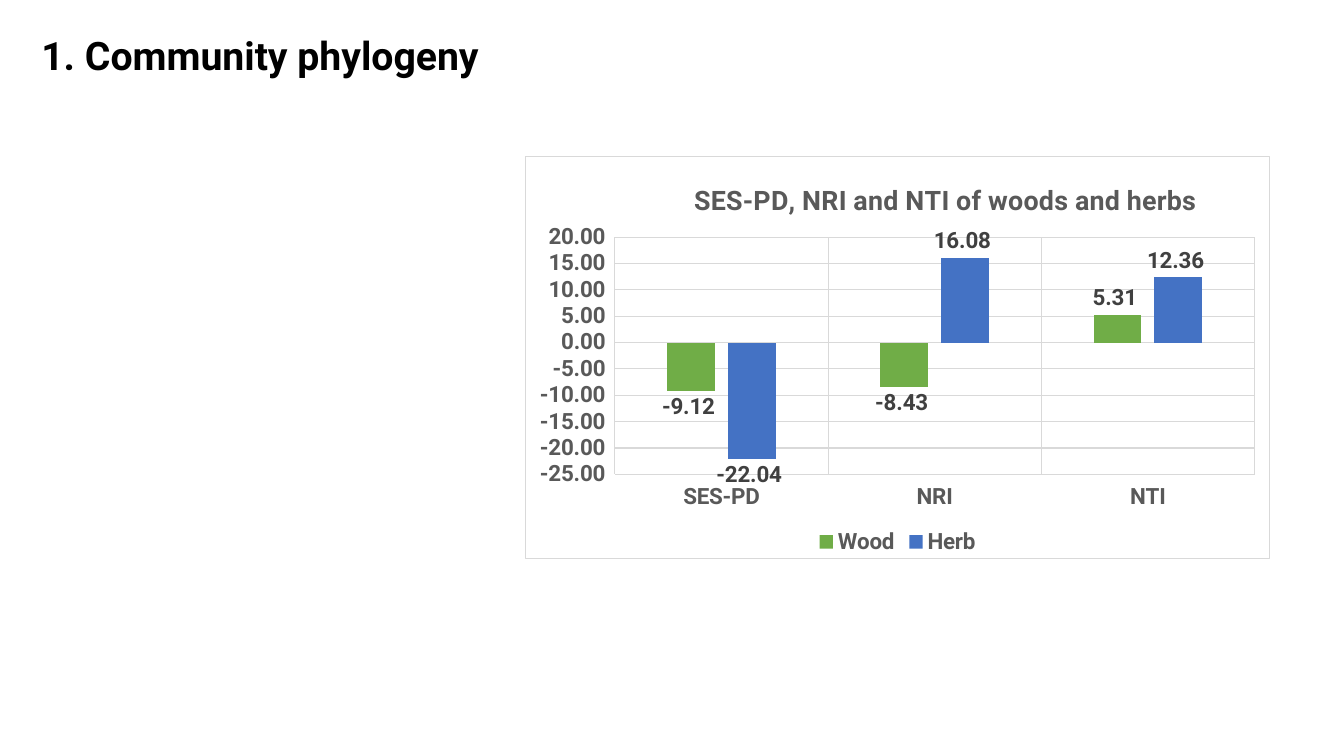
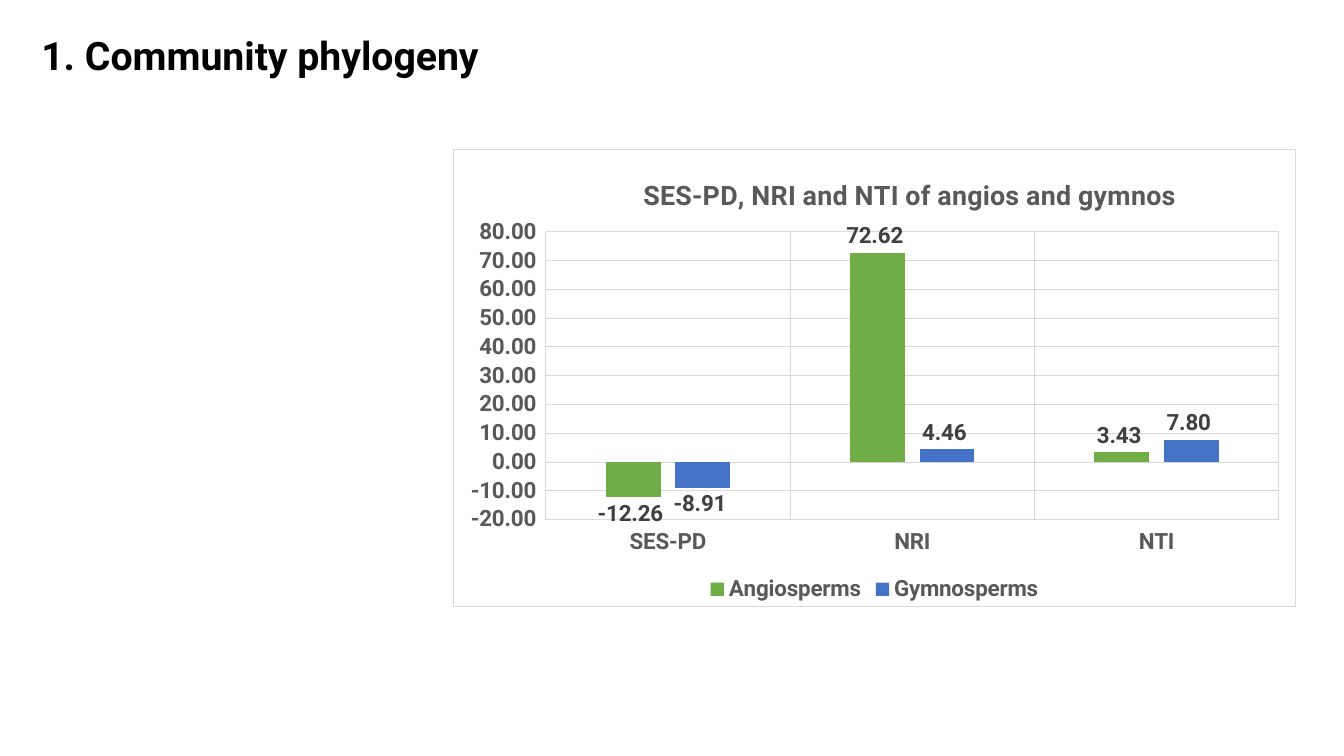
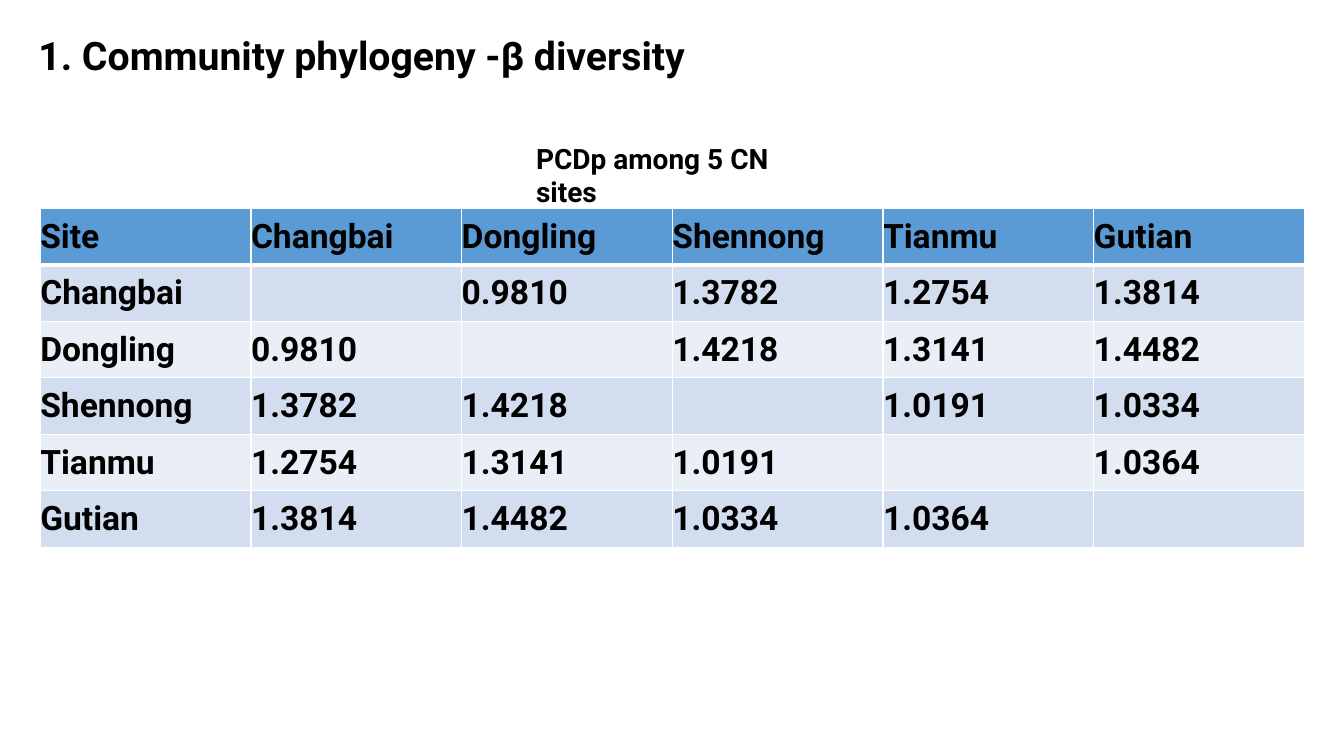
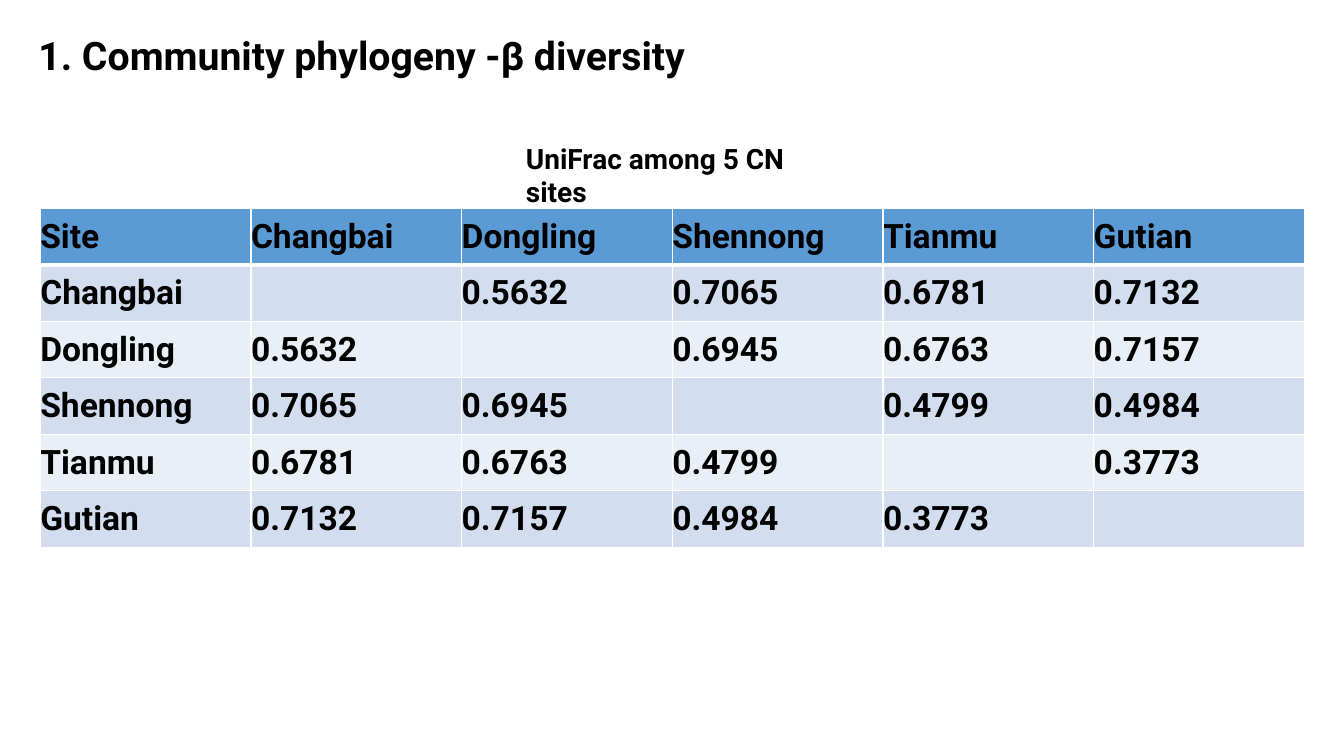
from itertools import combinations

from lxml import etree
from pptx import Presentation
from pptx.chart.data import CategoryChartData
from pptx.dml.color import RGBColor
from pptx.enum.chart import (
    XL_CHART_TYPE, XL_LABEL_POSITION, XL_LEGEND_POSITION,
    XL_TICK_LABEL_POSITION, XL_TICK_MARK,
)
from pptx.enum.text import MSO_ANCHOR, MSO_AUTO_SIZE, PP_ALIGN
from pptx.oxml import parse_xml
from pptx.oxml.ns import nsdecls, qn
from pptx.util import Pt

COLUMN = XL_CHART_TYPE.COLUMN_CLUSTERED
OUTSIDE = XL_LABEL_POSITION.OUTSIDE_END
BOTTOM = XL_LEGEND_POSITION.BOTTOM
LOW = XL_TICK_LABEL_POSITION.LOW
NO_TICK = XL_TICK_MARK.NONE
TOP = MSO_ANCHOR.TOP
MIDDLE = MSO_ANCHOR.MIDDLE
FIXED = MSO_AUTO_SIZE.NONE
LEFT = PP_ALIGN.LEFT

BLACK = RGBColor(0x00, 0x00, 0x00)
WHITE = RGBColor(0xFF, 0xFF, 0xFF)
GRAY = RGBColor(0x59, 0x59, 0x59)
DARK = RGBColor(0x40, 0x40, 0x40)
PALE = RGBColor(0xD9, 0xD9, 0xD9)
GREEN = RGBColor(0x70, 0xAD, 0x47)
BLUE = RGBColor(0x44, 0x72, 0xC4)
HEAD = RGBColor(0x5B, 0x9B, 0xD5)
BANDS = (RGBColor(0xD2, 0xDE, 0xEF), RGBColor(0xEA, 0xEF, 0xF7))

FONT = "Roboto"
DIGITS = "0.00_ "
SITES = ("Changbai", "Dongling", "Shennong", "Tianmu", "Gutian")
INDEXES = ("SES-PD", "NRI", "NTI")


def style(font, size, color):
    font.name = FONT
    font.size = Pt(size)
    font.bold = True
    font.color.rgb = color


def write(frame, text, size, color=BLACK):
    para = frame.paragraphs[0]
    para.alignment = LEFT
    run = para.add_run()
    run.text = text
    style(run.font, size, color)


def add_slide(deck, text, left, width):
    slide = deck.slides.add_slide(deck.slide_layouts[5])
    title = slide.shapes.title
    title.left, title.top = Pt(left), Pt(18.7)
    title.width, title.height = Pt(width), Pt(41)
    frame = title.text_frame
    frame.auto_size = FIXED
    frame.vertical_anchor = TOP
    write(frame, text, 28)
    return slide


def set_line(line, color):
    line.color.rgb = color
    line.width = Pt(0.75)


def place(node, index, target, **box):
    old = node.find(qn("c:layout"))
    if old is not None:
        node.remove(old)
    layout = etree.Element(qn("c:layout"))
    manual = etree.SubElement(layout, qn("c:manualLayout"))
    if target:
        etree.SubElement(manual, qn("c:layoutTarget")).set("val", target)
    for key in ("xMode", "yMode"):
        etree.SubElement(manual, qn("c:" + key)).set("val", "edge")
    for key, value in box.items():
        etree.SubElement(manual, qn("c:" + key)).set("val", str(value))
    node.insert(index, layout)


def frame_chart(chart):
    props = parse_xml(
        f'<c:spPr {nsdecls("c", "a")}>'
        f'<a:solidFill><a:srgbClr val="{WHITE}"/></a:solidFill>'
        f'<a:ln w="{Pt(0.75)}"><a:solidFill><a:srgbClr val="{PALE}"/>'
        '</a:solidFill></a:ln></c:spPr>')
    chart.element.find(qn("c:txPr")).addprevious(props)


def style_axis(axis):
    style(axis.tick_labels.font, 16, GRAY)
    axis.major_tick_mark = NO_TICK
    axis.minor_tick_mark = NO_TICK
    axis.has_major_gridlines = True
    set_line(axis.major_gridlines.format.line, PALE)


def add_chart(slide, box, title, series, scale, plot_box):
    data = CategoryChartData(number_format=DIGITS)
    data.categories = INDEXES
    for name, values in series:
        data.add_series(name, values)
    chart = slide.shapes.add_chart(COLUMN, *map(Pt, box), data).chart
    style(chart.font, 16, BLACK)
    frame_chart(chart)

    chart.has_title = True
    write(chart.chart_title.text_frame, title, 19.2, GRAY)
    root = chart.element.find(qn("c:chart"))
    place(root.find(qn("c:title")), 1, None, x=0.22, y=0.05)
    place(root.find(qn("c:plotArea")), 0, "inner", **plot_box)

    chart.has_legend = True
    chart.legend.position = BOTTOM
    chart.legend.include_in_layout = False
    style(chart.legend.font, 16, GRAY)

    cats, vals = chart.category_axis, chart.value_axis
    style_axis(cats)
    style_axis(vals)
    cats.tick_label_position = LOW
    set_line(cats.format.line, PALE)
    vals.format.line.fill.background()
    vals.tick_labels.number_format = DIGITS
    vals.tick_labels.number_format_is_linked = False
    vals.minimum_scale, vals.maximum_scale, vals.major_unit = scale

    plot = chart.plots[0]
    plot.gap_width = 219
    plot.overlap = -27
    plot.vary_by_categories = False
    for bars, color in zip(plot.series, (GREEN, BLUE)):
        bars.invert_if_negative = False
        bars.format.fill.solid()
        bars.format.fill.fore_color.rgb = color
        labels = bars.data_labels
        style(labels.font, 16, DARK)
        labels.number_format = DIGITS
        labels.number_format_is_linked = False
        labels.position = OUTSIDE
        labels.show_value = True


def add_label(slide, text, left, width):
    box = slide.shapes.add_textbox(Pt(left), Pt(97.2), Pt(width), Pt(31.5))
    box.text_frame.word_wrap = True
    write(box.text_frame, text, 20)


def set_edges(cell, row):
    props = cell._tc.get_or_add_tcPr()
    widths = {"L": 1, "R": 1, "T": 3 if row == 1 else 1,
              "B": 3 if row == 0 else 1}
    for index, (side, width) in enumerate(widths.items()):
        props.insert(index, parse_xml(
            f'<a:ln{side} {nsdecls("a")} w="{Pt(width)}"><a:solidFill>'
            f'<a:srgbClr val="{WHITE}"/></a:solidFill></a:ln{side}>'))


def fill_cell(cell, text, row):
    cell.margin_left = cell.margin_right = 0
    cell.margin_top = cell.margin_bottom = 0
    cell.vertical_anchor = MIDDLE
    cell.fill.solid()
    cell.fill.fore_color.rgb = BANDS[(row - 1) % 2] if row else HEAD
    set_edges(cell, row)
    if text:
        write(cell.text_frame, text, 24)


def make_grid(values):
    pairs = dict(zip(combinations(range(len(SITES)), 2), values))
    rows = [("Site", *SITES)]
    for i, site in enumerate(SITES):
        rows.append((site, *(pairs.get((min(i, j), max(i, j)), "")
                             for j in range(len(SITES)))))
    return rows


def add_table(slide, rows):
    wide, high = 150.5, 40.32
    count = len(rows)
    table = slide.shapes.add_table(
        count, count, Pt(28.8), Pt(149), Pt(wide * count),
        Pt(high * count)).table
    table.first_row = table.horz_banding = False
    for col in table.columns:
        col.width = Pt(wide)
    for i, texts in enumerate(rows):
        table.rows[i].height = Pt(high)
        for j, text in enumerate(texts):
            fill_cell(table.cell(i, j), text, i)


def main():
    deck = Presentation()
    deck.slide_width, deck.slide_height = Pt(960), Pt(540)

    charts = (
        ((375.1, 111.6, 532.1, 288), "SES-PD, NRI and NTI of woods and herbs",
         (("Wood", (-9.12, -8.43, 5.31)), ("Herb", (-22.04, 16.08, 12.36))),
         (-25, 20, 5), dict(x=0.12, y=0.2, w=0.86, h=0.59)),
        ((323.3, 106.6, 602.6, 326.9),
         "SES-PD, NRI and NTI of angios and gymnos",
         (("Angiosperms", (-12.26, 72.62, 3.43)),
          ("Gymnosperms", (-8.91, 4.46, 7.8))),
         (-20, 80, 10), dict(x=0.11, y=0.18, w=0.87, h=0.63)),
    )
    for chart in charts:
        add_chart(add_slide(deck, "1. Community phylogeny", 22.3, 531), *chart)

    tables = (
        ("PCDp among 5 CN sites", 375.8, 207.4,
         ("0.9810", "1.3782", "1.2754", "1.3814", "1.4218",
          "1.3141", "1.4482", "1.0191", "1.0334", "1.0364")),
        ("UniFrac among 5 CN sites", 368.6, 223.2,
         ("0.5632", "0.7065", "0.6781", "0.7132", "0.6945",
          "0.6763", "0.7157", "0.4799", "0.4984", "0.3773")),
    )
    for text, left, width, values in tables:
        slide = add_slide(
            deck, "1. Community phylogeny -β diversity", 20.2, 528.5)
        add_label(slide, text, left, width)
        add_table(slide, make_grid(values))

    deck.save("out.pptx")


if __name__ == "__main__":
    main()
